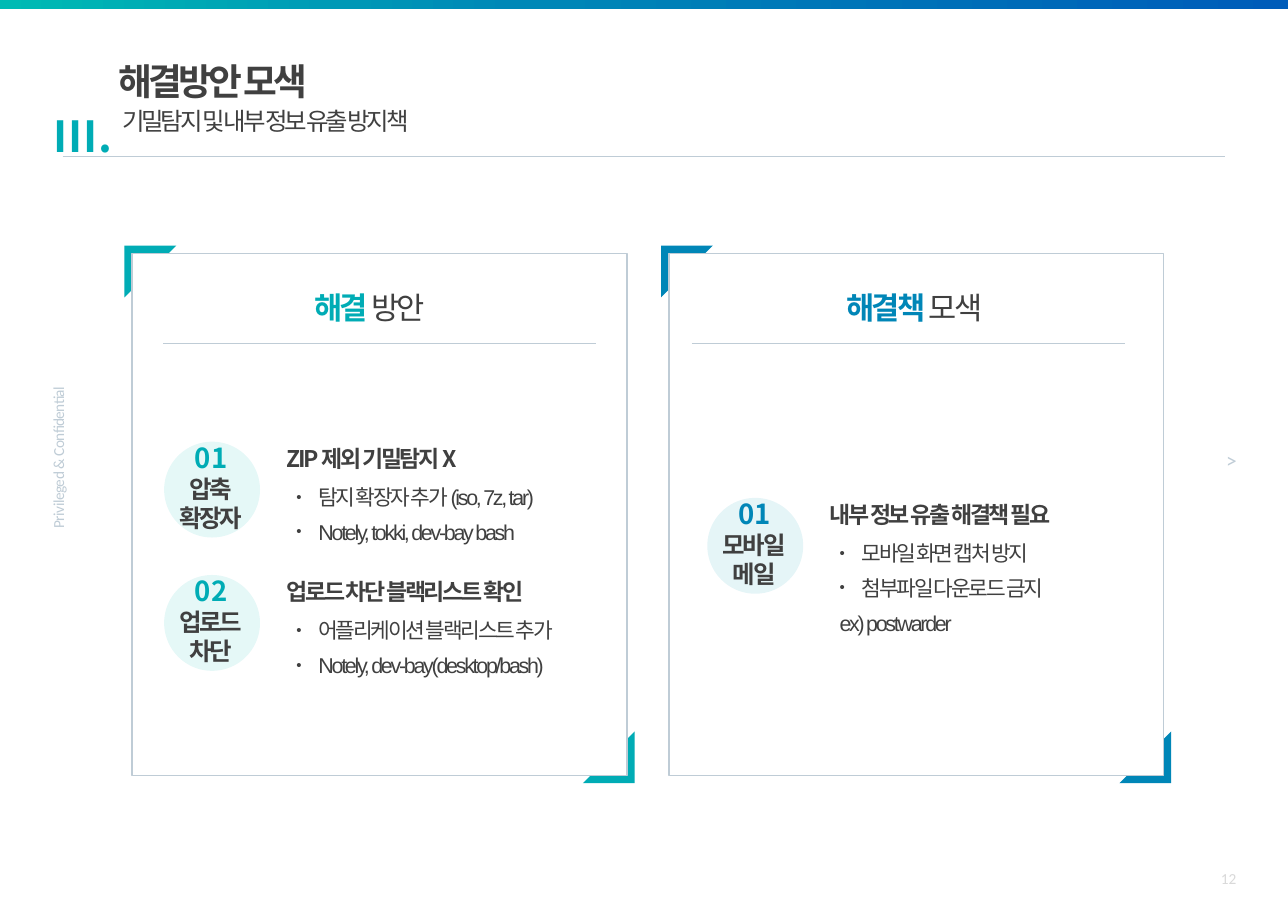
from dataclasses import dataclass

from lxml import etree
from pptx import Presentation
from pptx.dml.color import RGBColor
from pptx.enum import shapes, text
from pptx.oxml import ns
from pptx.util import Inches, Pt


@dataclass(frozen=True)
class Style:
    size: float
    color: str
    font: str = "Calibri"
    bold: bool = False
    spacing: float = 0


@dataclass(frozen=True)
class Theme:
    teal: str = "00ACB5"
    blue: str = "0086B7"
    ink: str = "404040"
    pale: str = "BFCCD6"
    white: str = "FFFFFF"
    faint: str = "D9D9D9"
    noto: str = "Noto Sans CJK KR"
    bar: tuple = ((0, "00BBB4"), (40, "0088B7"), (100, "005CB9"))
    title: Style = Style(24, ink, bold=True, spacing=-2.5)
    subtitle: Style = Style(16, ink, noto, spacing=-2)
    chapter: Style = Style(28, teal, noto, True, 0.5)
    heading: Style = Style(20, ink, spacing=-2)
    lead: Style = Style(15, ink, noto, True, -1.5)
    item: Style = Style(14, ink, "Arial", spacing=-1.5)
    label: Style = Style(16, ink, bold=True, spacing=-1.5)
    margin: Style = Style(10, pale, spacing=-0.3)
    arrow: Style = Style(14, pale)
    number: Style = Style(10, faint)


theme = Theme()

TITLE = "해결방안 모색"
SUBTITLE = "기밀탐지 및 내부 정보 유출 방지책"
CHAPTER = "III."
CARDS = [
    {"color": theme.teal, "heading": ("해결", " 방안"), "heading_at": (2.83, 1.15),
     "rule_left": 1.48, "tint": "00BBB4", "topics": [
         (1.49, 4.01, ["01", "압축", "확장자"],
          ["ZIP 제외 기밀탐지 X", "탐지 확장자 추가 (iso, 7z, tar)",
           "Notely, tokki, dev-bay bash"], ""),
         (1.49, 5.22, ["02", "업로드", "차단"],
          ["업로드 차단 블랙리스트 확인", "어플리케이션 블랙리스트 추가",
           "Notely, dev-bay(desktop/bash)"], "")]},
    {"color": theme.blue, "heading": ("해결책", " 모색"), "heading_at": (7.65, 1.4),
     "rule_left": 6.28, "tint": "009EB6", "topics": [
         (6.42, 4.52, ["01", "모바일", "메일"],
          ["내부 정보 유출 해결책 필요", "모바일 화면 캡처 방지",
           "첨부파일 다운로드 금지"], "ex) postwarder")]},
]
CARD_LEFT, CARD_STEP, CARD_TOP, CARD_WIDTH, CARD_HEIGHT = 1.2, 4.87, 2.3, 4.49, 4.74
CORNER, CORNER_OVERHANG = 0.47, 0.07
CIRCLE = 0.87

deck = Presentation()
deck.slide_width, deck.slide_height = Inches(11.69), Inches(8.27)
page = deck.slides.add_slide(deck.slide_layouts.get_by_name("Comparison"))
title, subtitle, *lists = page.placeholders
subtitle, *lists = sorted([subtitle, *lists], key=lambda box: box.placeholder_format.idx)


def add_xml(parent, tag, **attributes):
    return etree.SubElement(parent, ns.qn(tag), attributes)


def style_span(span, style, color=None, bold=None):
    font = span.font
    font.name, font.size = style.font, Pt(style.size)
    font.bold = style.bold if bold is None else bold
    font.color.rgb = RGBColor.from_string(color or style.color)
    span._r.get_or_add_rPr().set("spc", str(round(style.spacing * 100)))


def style_para(para, style, line=1.0, align=text.PP_ALIGN.LEFT, color=None):
    para.alignment, para.line_spacing = align, line
    para.space_before = para.space_after = Pt(0)
    for span in para.runs:
        style_span(span, style, color)


def set_indent(para, left, first, bullet=None):
    props = para._p.get_or_add_pPr()
    props.set("marL", str(Inches(left)))
    props.set("indent", str(Inches(first)))
    if bullet:
        add_xml(add_xml(props, "a:buClr"), "a:srgbClr", val=theme.ink)
        add_xml(props, "a:buSzPct", val="70000")
        add_xml(props, "a:buFont", typeface="Arial")
        add_xml(props, "a:buChar", char=bullet)
    else:
        add_xml(props, "a:buNone")


def fit(box, at, inset=0.0, wrap=False):
    box.left, box.top, box.width, box.height = map(Inches, at)
    frame = box.text_frame
    frame.margin_left, frame.margin_right = Inches(inset), Inches(0.1)
    frame.margin_top = frame.margin_bottom = Inches(0.05)
    frame.word_wrap, frame.auto_size = wrap, text.MSO_AUTO_SIZE.NONE
    frame.vertical_anchor = text.MSO_ANCHOR.TOP
    return frame


def add_text(words, at, style, inset=0.0, wrap=False, **options):
    box = page.shapes.add_textbox(0, 0, 0, 0)
    frame = fit(box, at, inset, wrap)
    frame.text = words
    for para in frame.paragraphs:
        style_para(para, style, **options)
    return box


def fill_placeholder(box, words, at, style, inset=0.0):
    frame = fit(box, at, inset)
    frame.text = words
    style_para(frame.paragraphs[0], style, 1.1)
    set_indent(frame.paragraphs[0], 0, 0)


def add_block(kind, at, color, line=None, rotation=0):
    block = page.shapes.add_shape(kind, *map(Inches, at))
    block.shadow.inherit = False
    block.rotation = rotation
    block.fill.solid()
    block.fill.fore_color.rgb = RGBColor.from_string(color)
    if line:
        block.line.color.rgb = RGBColor.from_string(line)
        block.line.width = Pt(1)
    else:
        block.line.fill.background()
    return block


def add_rule(left, right, top, weight):
    rule = page.shapes.add_connector(
        shapes.MSO_CONNECTOR.STRAIGHT, Inches(left), Inches(top), Inches(right), Inches(top))
    rule.line.color.rgb = RGBColor.from_string(theme.pale)
    rule.line.width = Pt(weight)
    add_xml(rule.element.spPr, "a:effectLst")


def add_topic(box, card, left, top, label, lines, example):
    circle = add_block(shapes.MSO_SHAPE.OVAL, (left, top, CIRCLE, CIRCLE), card["tint"])
    tint = circle.element.spPr.find(".//" + ns.qn("a:srgbClr"))
    add_xml(tint, "a:alpha", val="10000")
    tag = add_text("\n".join(label), (left + 0.12, top - 0.06, 0.71, 0.94), theme.label,
                   align=text.PP_ALIGN.CENTER)
    style_span(tag.text_frame.paragraphs[0].runs[0], Style(18, card["color"], theme.noto, True))

    frame = fit(box, (left + 1.11, top - 0.1, 2.88, 1.37 if example else 1.08), wrap=True)
    frame.text = "\n".join(lines + [example] if example else lines)
    lead, *items = frame.paragraphs
    style_para(lead, theme.lead, 1.3)
    lead.space_after = Pt(2)
    set_indent(lead, 0, 0)
    for para in items:
        style_para(para, theme.item, 1.35)
        if para.text == example:
            set_indent(para, 0.09, 0)
        else:
            set_indent(para, 0.29, -0.2, "•")
    box.element.getparent().append(box.element)


def add_card(index, card):
    left = CARD_LEFT + index * CARD_STEP
    near = (left - CORNER_OVERHANG, CARD_TOP - CORNER_OVERHANG, 90)
    far = (left + CARD_WIDTH + CORNER_OVERHANG - CORNER,
           CARD_TOP + CARD_HEIGHT + CORNER_OVERHANG - CORNER, 270)
    for x, y, rotation in (near, far):
        add_block(shapes.MSO_SHAPE.RIGHT_TRIANGLE, (x, y, CORNER, CORNER), card["color"],
                  rotation=rotation)
    add_block(shapes.MSO_SHAPE.RECTANGLE, (left, CARD_TOP, CARD_WIDTH, CARD_HEIGHT),
              theme.white, theme.pale)
    strong, plain = card["heading"]
    heading_left, width = card["heading_at"]
    heading = add_text(strong, (heading_left, 2.51, width, 0.48), theme.heading,
                       line=1.2, align=text.PP_ALIGN.CENTER)
    para = heading.text_frame.paragraphs[0]
    style_span(para.runs[0], theme.heading, card["color"], True)
    span = para.add_run()
    span.text = plain
    style_span(span, theme.heading)
    add_rule(card["rule_left"], card["rule_left"] + 3.93, 3.12, 1)
    for topic in card["topics"]:
        add_topic(next(list_boxes), card, *topic)


bar = add_block(shapes.MSO_SHAPE.RECTANGLE, (0, 0, 11.69, 0.08), theme.teal)
bar.fill.gradient()
bar.fill.gradient_angle = 0
stops = bar.element.spPr.find(".//" + ns.qn("a:gsLst"))
stops.clear()
for position, color in theme.bar:
    add_xml(add_xml(stops, "a:gs", pos=str(position * 1000)), "a:srgbClr", val=color)

add_text(">", (11.03, 3.94, 0.3, 0.41), theme.arrow, 0.1, line=1.3)
add_text("Privileged & Confidential", (-0.26, 3.97, 1.53, 0.32), theme.margin, 0.1,
         line=1.3).rotation = 270
add_rule(0.57, 11.12, 1.42, 0.25)

list_boxes = iter(lists)
for index, card in enumerate(CARDS):
    add_card(index, card)

number = add_text("12", (8.69, 7.75, 2.63, 0.44), theme.number, 0.1, True,
                  align=text.PP_ALIGN.RIGHT)
number.text_frame.vertical_anchor = text.MSO_ANCHOR.MIDDLE
add_text(CHAPTER, (0.39, 0.9, 0.76, 0.59), theme.chapter, 0.1, line=1.1)
fill_placeholder(title, TITLE, (1.08, 0.44, 1.95, 0.52), theme.title)
fill_placeholder(subtitle, SUBTITLE, (1.01, 0.89, 3.21, 0.37), theme.subtitle, 0.1)

deck.save("out.pptx")
